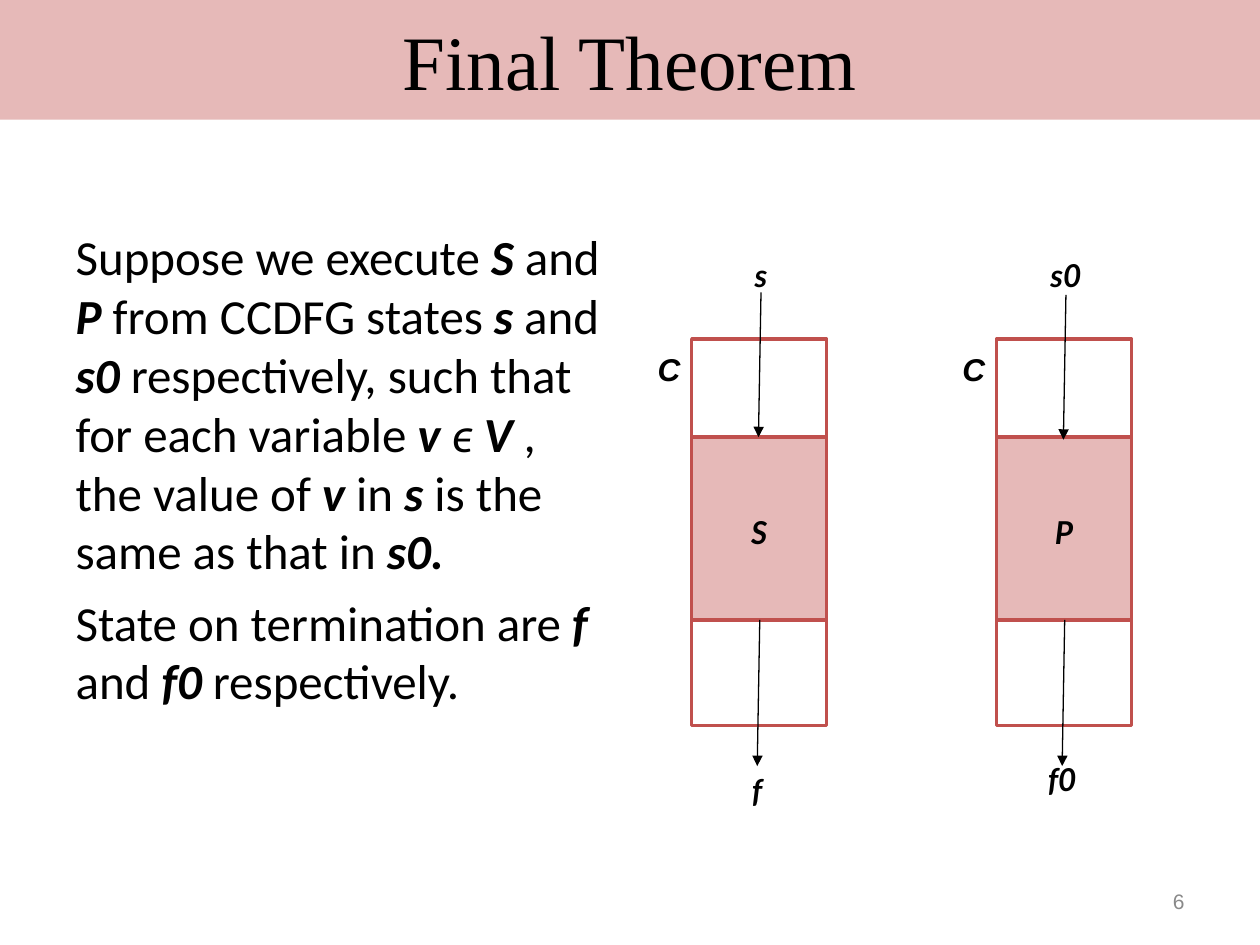
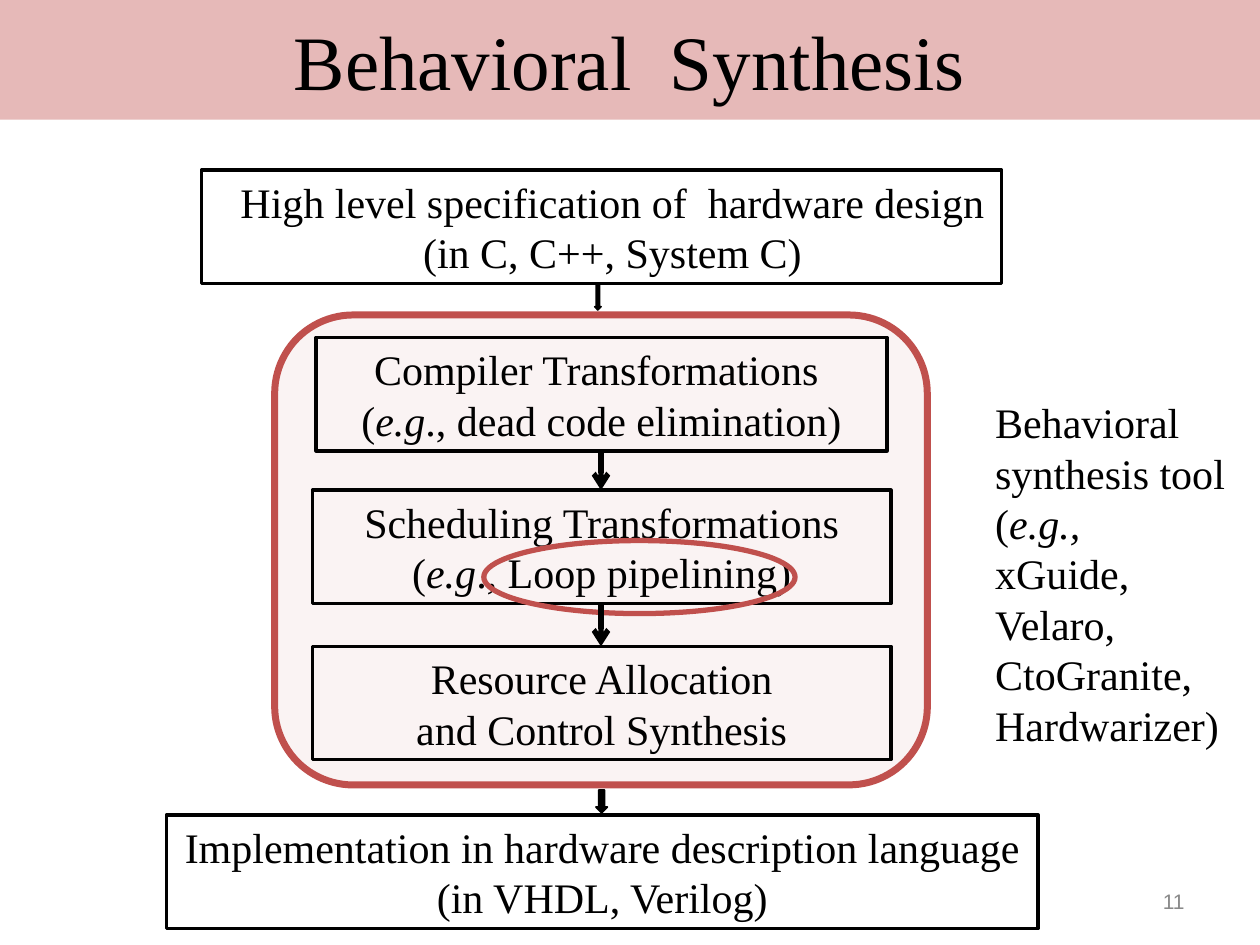
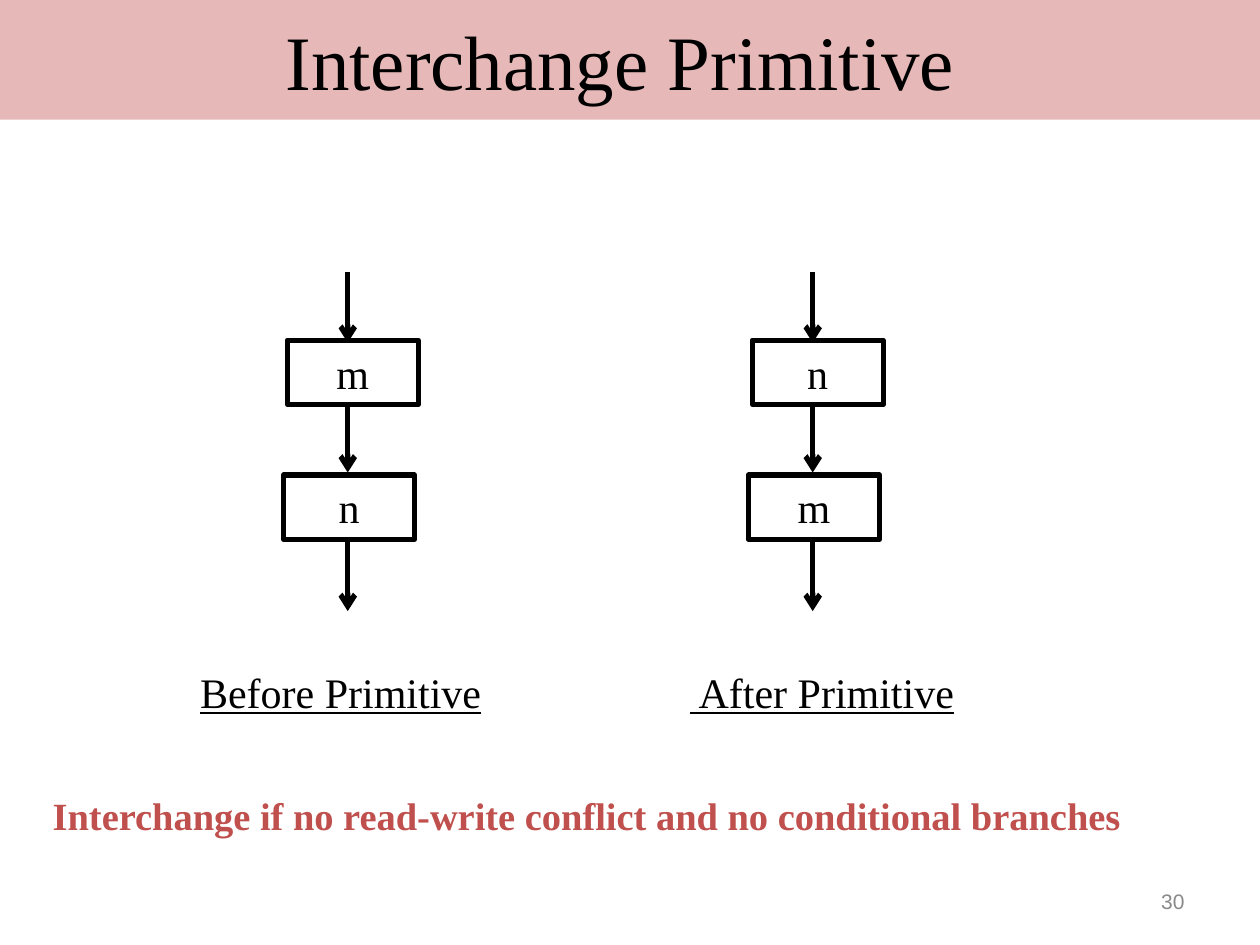
import lxml.etree
import pptx
import pptx.dml.color
import pptx.enum.shapes
import pptx.enum.text
import pptx.oxml.ns
import pptx.util

COLORS = {
    "band": "E6B9B8",
    "accent": "C0504D",
    "tint": "F2DCDB",
    "ink": "000000",
    "paper": "FFFFFF",
    "number": "898989",
}
SERIF = "Times New Roman"
SHAPES = pptx.enum.shapes.MSO_SHAPE
ALIGN = pptx.enum.text.PP_ALIGN
ANCHOR = pptx.enum.text.MSO_ANCHOR
TITLE_AND_CONTENT, TITLE_ONLY = 1, 5


def emu(px):
    """Turn px, 100 to the inch, into EMU."""
    return pptx.util.Emu(px * 9144)


def rgb(name):
    return pptx.dml.color.RGBColor.from_string(COLORS[name])


def add_xml(parent, tag, **attributes):
    return lxml.etree.SubElement(parent, pptx.oxml.ns.qn(tag), attributes)


class Slides:
    def __init__(self):
        self.deck = pptx.Presentation()
        self.deck.slide_width, self.deck.slide_height = emu(1000), emu(750)
        self.page = None

    def start(self, title, number, layout=TITLE_ONLY):
        self.page = self.deck.slides.add_slide(self.deck.slide_layouts[layout])
        band = self.page.shapes.title
        self.place(band, 0, 0, 1000, 95)
        band.fill.solid()
        band.fill.fore_color.rgb = rgb("band")
        self.fill_text(band, [title], size=44, align=ALIGN.CENTER, anchor=ANCHOR.MIDDLE)
        self.label(717, 695, 233, 40, [number], size=12, font="Arial",
                   color="number", align=ALIGN.RIGHT, anchor=ANCHOR.MIDDLE)

    def place(self, item, left, top, width, height):
        item.left, item.top, item.width, item.height = map(emu, (left, top, width, height))

    def fill_text(self, item, lines, size=24, font=SERIF, color="ink", bold=False,
                  italic=False, underline=False, align=ALIGN.LEFT, anchor=ANCHOR.TOP,
                  gap=0, margin_left=10, plain_list=False):
        """Fill a text frame; _..._ marks italic spans, *...* bold ones."""
        frame = item.text_frame
        frame.word_wrap = True
        frame.auto_size = pptx.enum.text.MSO_AUTO_SIZE.NONE
        frame.vertical_anchor = anchor
        frame.margin_left, frame.margin_right = emu(margin_left), emu(10)
        frame.margin_top = frame.margin_bottom = emu(5)
        for index, line in enumerate(lines):
            para = frame.add_paragraph() if index else frame.paragraphs[0]
            para.alignment = align
            para.space_before = pptx.util.Pt(gap if index else 0)
            if plain_list:
                properties = para._p.get_or_add_pPr()
                properties.set("marL", "0")
                properties.set("indent", "0")
                add_xml(properties, "a:buNone")
            para.font.size, para.font.name = pptx.util.Pt(size), font
            para.font.color.rgb = rgb(color)
            para.font.bold, para.font.italic = bold, italic
            para.font.underline = underline
            self.add_spans(para, line)

    def add_spans(self, para, line):
        for slant, part in enumerate(line.split("_")):
            for weight, words in enumerate(part.split("*")):
                if words:
                    span = para.add_run()
                    span.text = words
                    if slant % 2:
                        span.font.italic = True
                    if weight % 2:
                        span.font.bold = True

    def body(self, left, top, width, height, lines, **style):
        holder = self.page.placeholders[1]
        self.place(holder, left, top, width, height)
        self.fill_text(holder, lines, plain_list=True, **style)

    def label(self, left, top, width, height, lines, **style):
        box = self.page.shapes.add_textbox(*map(emu, (left, top, width, height)))
        self.fill_text(box, lines, **style)

    def shape(self, left, top, width, height, kind=SHAPES.RECTANGLE, fill=None,
              opacity=100, line="ink", weight=2, lines=(), **style):
        item = self.page.shapes.add_shape(kind, *map(emu, (left, top, width, height)))
        item.shadow.inherit = False
        if fill:
            item.fill.solid()
            item.fill.fore_color.rgb = rgb(fill)
            if opacity < 100:
                tone = item._element.spPr.find(".//" + pptx.oxml.ns.qn("a:srgbClr"))
                add_xml(tone, "a:alpha", val=str(opacity * 1000))
        else:
            item.fill.background()
        item.line.color.rgb = rgb(line)
        item.line.width = pptx.util.Pt(weight)
        if lines:
            self.fill_text(item, lines, align=ALIGN.CENTER, anchor=ANCHOR.MIDDLE, **style)

    def arrow(self, x1, y1, x2, y2, weight=3, head="arrow"):
        link = self.page.shapes.add_connector(
            pptx.enum.shapes.MSO_CONNECTOR.STRAIGHT, *map(emu, (x1, y1, x2, y2)))
        link.line.color.rgb = rgb("ink")
        link.line.width = pptx.util.Pt(weight)
        outline = link._element.spPr.find(pptx.oxml.ns.qn("a:ln"))
        add_xml(outline, "a:tailEnd", type=head)
        add_xml(link._element.spPr, "a:effectLst")


def final_theorem(slides):
    slides.start("Final Theorem", "6", TITLE_AND_CONTENT)
    slides.body(50, 175, 442, 495, [
        "Suppose we execute _*S *_and _*P *_from CCDFG states _*s *_and _*s0 *_"
        "respectively, such that for each variable _*v *ϵ *V *_, the value of _*v *_"
        "in _*s *_is the same as that in _*s0.*_",
        "State on termination are _*f *_and _*f0 *_respectively.",
    ], size=28, font="Calibri", gap=7)
    emphasis = dict(size=18, bold=True, italic=True)
    columns = ((549, "S", "s", "f", 232, 607), (791, "P", "s0", "f0", 234, 598))
    for left, block, start, end, entry, end_top in columns:
        slides.shape(left, 347, 107, 145, fill="band", line="accent")
        slides.shape(left, 269, 107, 307, line="accent", lines=[block],
                     font="Lato", **emphasis)
        slides.label(left - 37, 273, 38, 40, ["C"], font="Arial", **emphasis)
        for text, center, top in ((start, left + 55, 198), (end, left + 52, end_top)):
            slides.label(center - 30, top, 60, 40, [text], font="Lato",
                         align=ALIGN.CENTER, **emphasis)
        slides.arrow(left + 55, entry, left + 53, entry + 115, 0.75, "triangle")
        slides.arrow(left + 54, 492, left + 52, 608, 0.75, "triangle")


def behavioral_synthesis(slides):
    slides.start("Behavioral  Synthesis", "11")
    slides.shape(160, 135, 635, 90, fill="paper", margin_left=27, lines=[
        "High level specification of  hardware design", "(in C, C++, System C)"])
    slides.shape(132, 647, 692, 90, lines=[
        "Implementation in hardware description language", "(in VHDL, Verilog)"])
    slides.label(780, 310, 224, 290, [
        "Behavioral", "synthesis tool", "(_e.g.,_", "xGuide,", "Velaro,",
        "CtoGranite, Hardwarizer)"])
    slides.shape(218, 250, 518, 373, SHAPES.ROUNDED_RECTANGLE, fill="tint",
                 opacity=33, line="accent", weight=4)
    steps = (
        (251, 268, 453, ["Compiler Transformations ", "(_e.g_., dead code elimination)"]),
        (248, 389, 459, ["Scheduling Transformations", "(_e.g_., Loop pipelining)"]),
        (248, 513, 459, ["Resource Allocation", "and Control Synthesis"]),
    )
    for left, top, width, lines in steps:
        slides.shape(left, top, width, 90, lines=lines)
    slides.shape(384, 429, 247, 58, SHAPES.OVAL, line="accent", weight=3)
    for upper, lower in zip(steps, steps[1:]):
        slides.arrow(477, upper[1] + 90, 477, lower[1])
    for left, top, width, height in ((472, 226, 5, 20), (473, 627, 9, 18)):
        slides.shape(left, top, width, height, SHAPES.DOWN_ARROW, fill="ink", weight=1)


def interchange_primitive(slides):
    slides.start("Interchange Primitive ", "30")
    slides.label(32, 624, 940, 47, [
        "Interchange if no read-write conflict and no conditional branches"],
        size=22, color="accent", bold=True)
    for left, upper, lower in ((228, "m", "n"), (597, "n", "m")):
        slides.shape(left, 270, 104, 51, weight=3, lines=[upper])
        slides.shape(left - 3, 377, 104, 51, weight=3, lines=[lower])
        for top in (216, 319, 429):
            slides.arrow(left + 48, top, left + 48, top + 56)
    slides.label(149, 524, 264, 50, ["Before Primitive"], underline=True)
    slides.label(521, 524, 259, 50, [" After Primitive"], underline=True, margin_left=27)


def main():
    slides = Slides()
    final_theorem(slides)
    behavioral_synthesis(slides)
    interchange_primitive(slides)
    slides.deck.save("out.pptx")


if __name__ == "__main__":
    main()
